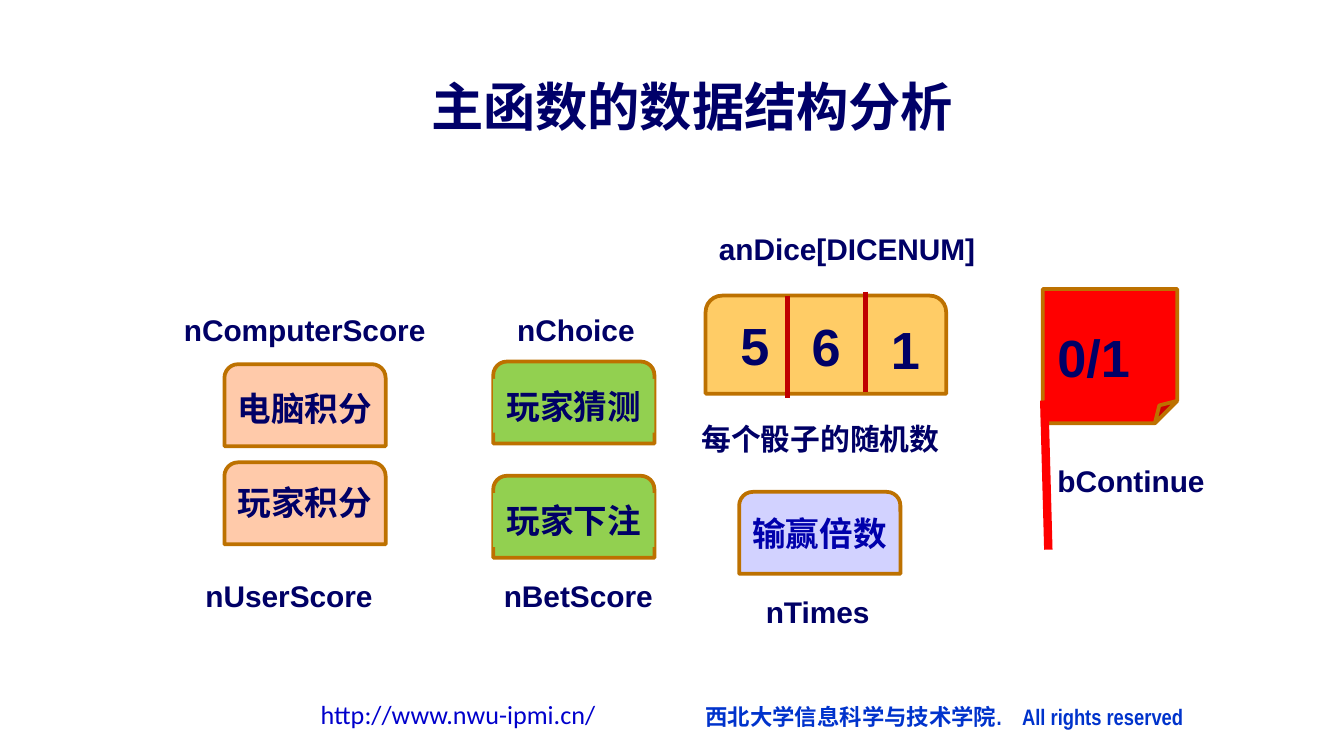
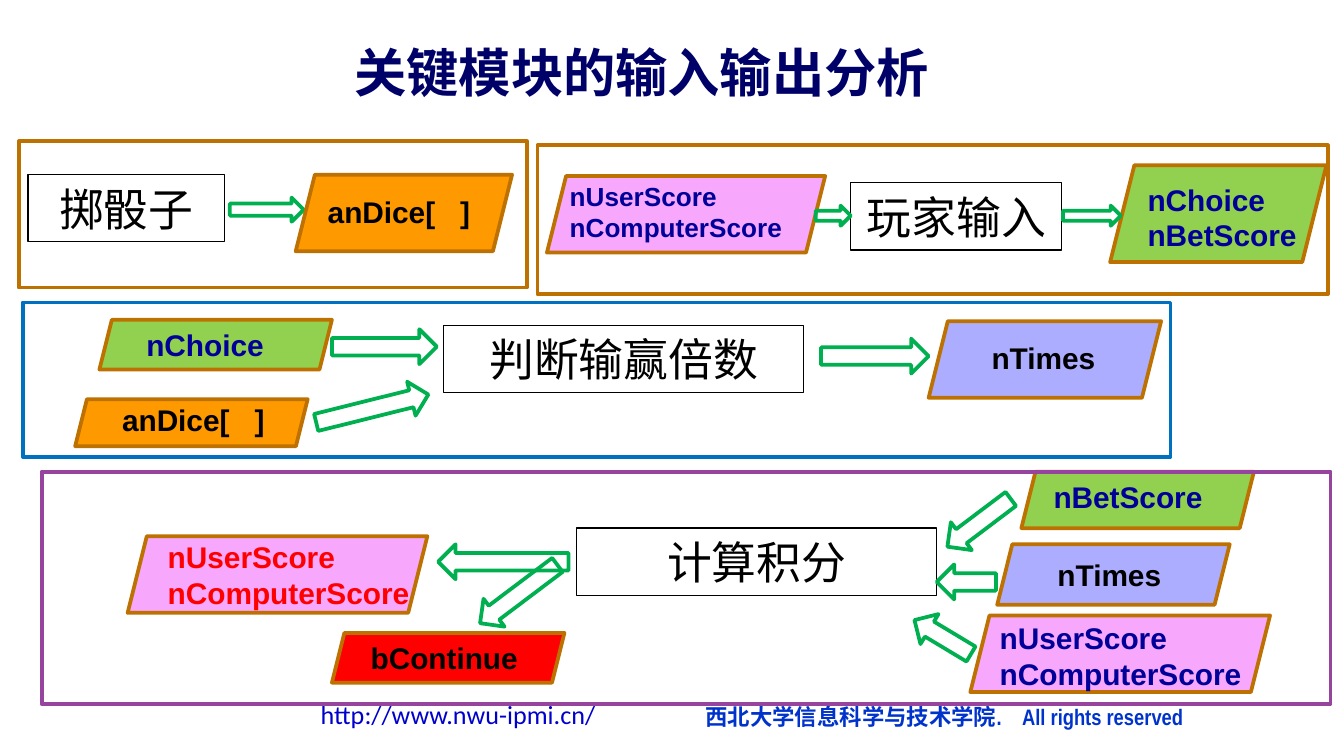
from dataclasses import dataclass
from typing import Union

from lxml import etree
from pptx import Presentation
from pptx import util as u
from pptx.dml import color
from pptx.enum import shapes, text
from pptx.oxml import ns

NAVY, INK, BLACK, RED = "000066", "000099", "000000", "FF0000"
BROWN, GREEN, LIME = "BD7100", "00B050", "92D050"
ORANGE, PINK, LILAC = "FF9900", "F7A7FC", "ADADFF"
SHAPE = shapes.MSO_SHAPE
LINE_HEIGHTS = {12: 0.3, 14: 0.34, 16: 0.37, 18: 0.4, 24: 0.5, 28: 0.57}
EXTRA_LINES = {14: 0.23, 16: 0.26}


@dataclass(frozen=True)
class Label:
    words: str
    left: float
    top: float
    width: float
    size: int = 16
    ink: str = NAVY
    font: str = "Arial"
    bold: bool = True
    wrap: bool = False
    align: text.PP_ALIGN = text.PP_ALIGN.LEFT
    fill: str = ""
    border: str = ""
    gap: float = 0  # points added to the first space of a line


@dataclass(frozen=True)
class Block:
    kind: SHAPE
    left: float
    top: float
    width: float
    height: float
    fill: str = ""
    border: str = BROWN
    turn: float = 0


@dataclass(frozen=True)
class Rule:
    start: tuple[float, float]
    end: tuple[float, float]
    ink: str
    weight: float


Part = Union[Label, Block, Rule]


def rgb(value: str) -> color.RGBColor:
    return color.RGBColor.from_string(value)


def paint(shape, fill: str, border: str, weight: float) -> None:
    if fill:
        shape.fill.solid()
        shape.fill.fore_color.rgb = rgb(fill)
    else:
        shape.fill.background()
    if border:
        shape.line.color.rgb = rgb(border)
        shape.line.width = u.Pt(weight)
    else:
        shape.line.fill.background()


def draw_label(canvas, label: Label) -> None:
    lines = label.words.split("\n")
    height = LINE_HEIGHTS[label.size] + EXTRA_LINES.get(label.size, 0) * (len(lines) - 1)
    box = canvas.add_textbox(u.Inches(label.left), u.Inches(label.top),
                             u.Inches(label.width), u.Inches(height))
    paint(box, label.fill, label.border, 0.75)
    frame = box.text_frame
    frame.word_wrap = label.wrap
    frame.auto_size = text.MSO_AUTO_SIZE.SHAPE_TO_FIT_TEXT
    for index, line in enumerate(lines):
        para = frame.add_paragraph() if index else frame.paragraphs[0]
        para.alignment = label.align
        pieces = line.partition(" ") if label.gap else (line,)
        for piece in pieces:
            span = para.add_run()
            span.text = piece
            span.font.name = label.font
            span.font.size = u.Pt(label.size)
            span.font.bold = label.bold
            span.font.color.rgb = rgb(label.ink)
            if piece == " ":
                span.font._element.set("spc", str(round(label.gap * 100)))


def draw_block(canvas, block: Block) -> None:
    shape = canvas.add_shape(block.kind, u.Inches(block.left), u.Inches(block.top),
                             u.Inches(block.width), u.Inches(block.height))
    shape.shadow.inherit = False
    shape.rotation = block.turn
    paint(shape, block.fill, block.border, 2)


def draw_rule(canvas, rule: Rule) -> None:
    line = canvas.add_connector(shapes.MSO_CONNECTOR.STRAIGHT,
                                *map(u.Inches, rule.start + rule.end))
    line.line.color.rgb = rgb(rule.ink)
    line.line.width = u.Pt(rule.weight)
    etree.SubElement(line._element.spPr, ns.qn("a:effectLst"))


DRAWERS = {Label: draw_label, Block: draw_block, Rule: draw_rule}


def draw(canvas, parts: list[Part]) -> None:
    for part in parts:
        DRAWERS[type(part)](canvas, part)


def card(words: str, left: float, top: float, inset: float, fill: str,
         ink: str = NAVY, backing: str = "") -> list[Part]:
    """A tab-shaped card with its caption; backing fills the caption's own box."""
    return [Block(SHAPE.ROUND_2_SAME_RECTANGLE, left, top, 1.2, 0.61, fill),
            Label(words, left, top + inset, 1.2, 18, ink, fill=backing)]


def data(left: float, top: float, width: float, height: float, fill: str) -> Block:
    return Block(SHAPE.PARALLELOGRAM, left, top, width, height, fill)


def arrow(left: float, top: float, width: float, height: float = 0.26,
          turn: float = 0) -> Block:
    return Block(SHAPE.RIGHT_ARROW, left, top, width, height, border=GREEN, turn=turn)


def panel(left: float, top: float, width: float, height: float, border: str) -> Block:
    return Block(SHAPE.RECTANGLE, left, top, width, height, border=border)


def module(words: str, left: float, top: float, width: float) -> Label:
    return Label(words, left, top, width, 24, BLACK, bold=False, wrap=True,
                 align=text.PP_ALIGN.CENTER, border=BLACK)


def variable(words: str, left: float, top: float, width: float,
             ink: str = INK, size: int = 16) -> Label:
    return Label(words, left, top, width, size, ink, wrap=True,
                 gap=8.9 if " " in words else 0)


FOOTER = [
    Label("西北大学信息科学与技术学院. All rights reserved", 5.15, 5.18, 4.65, 12,
          "0033CC", "Arial Narrow", wrap=True, gap=8.2),
    Label("http://www.nwu-ipmi.cn/", 1.88, 5.15, 2.65, 14, "0000CC", "Calibri",
          bold=False, wrap=True, align=text.PP_ALIGN.RIGHT),
]

SCORE_CARDS = card("电脑积分", 1.67, 2.71, 0.13, "FFCAAA") + card(
    "玩家积分", 1.67, 3.44, 0.1, "FFCAAA")
PLAYER_CARDS = card("玩家猜测", 3.67, 2.69, 0.13, LIME, backing=LIME) + card(
    "玩家下注", 3.67, 3.54, 0.13, LIME, backing=LIME)
DICE = [
    Block(SHAPE.ROUND_2_SAME_RECTANGLE, 5.25, 2.2, 1.79, 0.73, "FFCC66"),
    Label("5", 5.41, 2.28, 0.42, 28),
    Label("6", 5.94, 2.29, 0.42, 28),
    Label("1", 6.53, 2.31, 0.42, 28),
    Rule((5.86, 2.2), (5.86, 2.96), "C00000", 2.25),
    Rule((6.44, 2.17), (6.44, 2.92), "C00000", 2.25),
]
VARIABLE_NAMES = [
    Label("每个骰子的随机数", 5.12, 3.08, 1.99),
    Label("anDice[DICENUM]", 5.25, 1.67, 2.11),
    Label("nChoice", 3.75, 2.27, 1.08),
    Label("nBetScore", 3.65, 4.25, 1.31),
    Label("nUserScore", 1.43, 4.25, 1.45),
    Label("nComputerScore", 1.27, 2.27, 2),
    Label("bContinue", 7.77, 3.39, 1.3),
    Label("nTimes", 5.6, 4.37, 0.97),
]
FLAG = [
    Block(SHAPE.FOLDED_CORNER, 7.76, 2.15, 1, 1, RED),
    Rule((7.77, 2.98), (7.8, 4.09), RED, 4.5),
]
FLAG_VALUE = Label("0/1", 7.77, 2.37, 0.94, 28, wrap=True)
TIMES_CARD = card("输赢倍数", 5.5, 3.66, 0.11, "D2D2FF", "0000AC")

SCORES = "nUserScore\nnComputerScore"
ROLL_DICE = [
    module("掷骰子", 0.21, 1.3, 1.46),
    arrow(1.71, 1.47, 0.55, 0.18),
    data(2.2, 1.3, 1.61, 0.57, ORANGE),
    variable("anDice[ ]", 2.34, 1.39, 1.37, BLACK),
    panel(0.14, 1.05, 3.78, 1.09, BROWN),
]
JUDGE_TIMES = [
    module("判断输赢倍数", 3.3, 2.42, 2.68),
    arrow(6.11, 2.52, 0.8),
    data(6.91, 2.39, 1.73, 0.57, LILAC),
    variable("nTimes", 7.28, 2.48, 1.26, BLACK),
    data(0.74, 2.38, 1.73, 0.37, LIME),
    variable("nChoice", 0.99, 2.38, 1.48),
    data(0.56, 2.97, 1.73, 0.35, ORANGE),
    arrow(2.47, 2.45, 0.78),
    arrow(2.34, 2.91, 0.86, turn=346),
    variable("anDice[ ]", 0.81, 2.94, 1.26, BLACK),
    panel(0.17, 2.25, 8.54, 1.15, "0070C0"),
]
COUNT_SCORES = [
    data(7.6, 3.51, 1.73, 0.42, LIME),
    data(0.95, 3.99, 2.23, 0.57, PINK),
    module("计算积分", 4.29, 3.93, 2.68),
    variable(SCORES, 1.15, 3.96, 2.1, RED),
    data(7.42, 4.05, 1.73, 0.45, LILAC),
    variable("nTimes", 7.77, 4.09, 1.26, BLACK),
    variable("nBetScore", 7.74, 3.51, 1.48),
    data(7.22, 4.58, 2.23, 0.57, PINK),
    variable(SCORES, 7.34, 4.56, 2.11),
    arrow(6.99, 3.76, 0.59, turn=143),
    arrow(6.97, 4.2, 0.44, turn=180),
    arrow(6.77, 4.61, 0.49, turn=211),
    arrow(3.26, 4.05, 0.97, turn=180),
    data(2.47, 4.71, 1.73, 0.37, RED),
    variable("bContinue", 2.66, 4.71, 1.5, BLACK),
    arrow(3.5, 4.29, 0.72, turn=143),
    panel(0.31, 3.51, 9.59, 1.73, "96449E"),
]
PLAYER_INPUT = [
    data(4.07, 1.31, 2.07, 0.57, PINK),
    data(8.26, 1.23, 1.61, 0.72, LIME),
    panel(4, 1.08, 5.88, 1.11, BROWN),
    module("玩家输入", 6.33, 1.36, 1.57),
    arrow(7.91, 1.53, 0.43, 0.15),
    variable("nChoice\nnBetScore", 8.44, 1.3, 1.48),
    variable(SCORES, 4.14, 1.29, 2.11, size=14),
    arrow(6.07, 1.53, 0.26, 0.15),
]


def add_page(deck, title: Label, groups: list[list[Part]], loose: list[Part]) -> None:
    """Add a slide with its footer and title, grouped parts, then loose ones."""
    page = deck.slides.add_slide(deck.slide_layouts[6])
    draw(page.shapes, FOOTER + [title])
    for parts in groups:
        draw(page.shapes.add_group_shape().shapes, parts)
    draw(page.shapes, loose)


def main() -> None:
    deck = Presentation()
    deck.slide_width = u.Inches(10)
    deck.slide_height = u.Inches(10 * 9 / 16)
    add_page(deck, Label("主函数的数据结构分析", 3.11, 0.5, 4.11, 28, "000069"),
             [SCORE_CARDS, PLAYER_CARDS, DICE, FLAG],
             VARIABLE_NAMES + [FLAG_VALUE] + TIMES_CARD)
    add_page(deck, Label("关键模块的输入输出分析", 2.54, 0.25, 4.5, 28, "000069"),
             [ROLL_DICE, JUDGE_TIMES, COUNT_SCORES, PLAYER_INPUT], [])
    deck.save("out.pptx")


if __name__ == "__main__":
    main()
